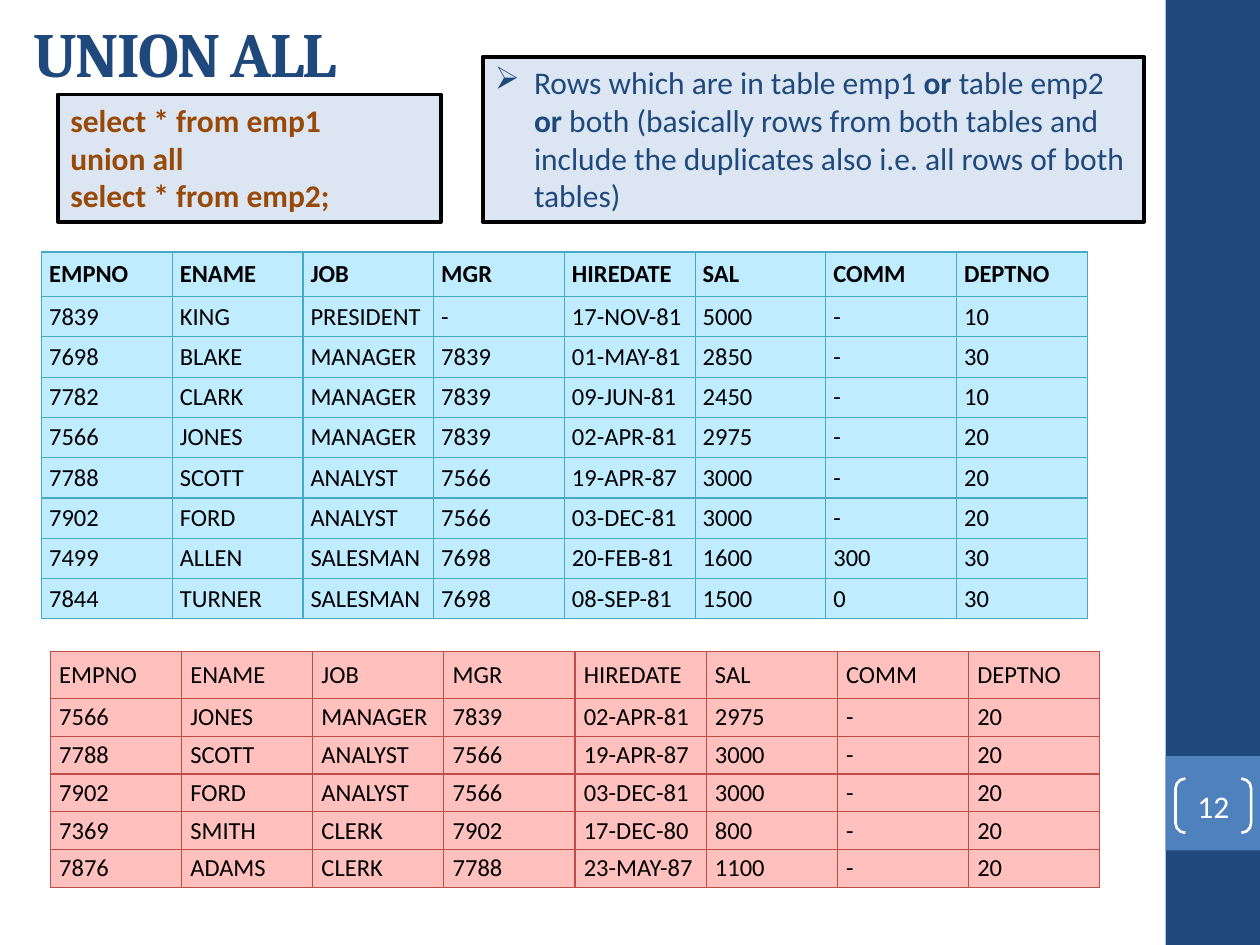
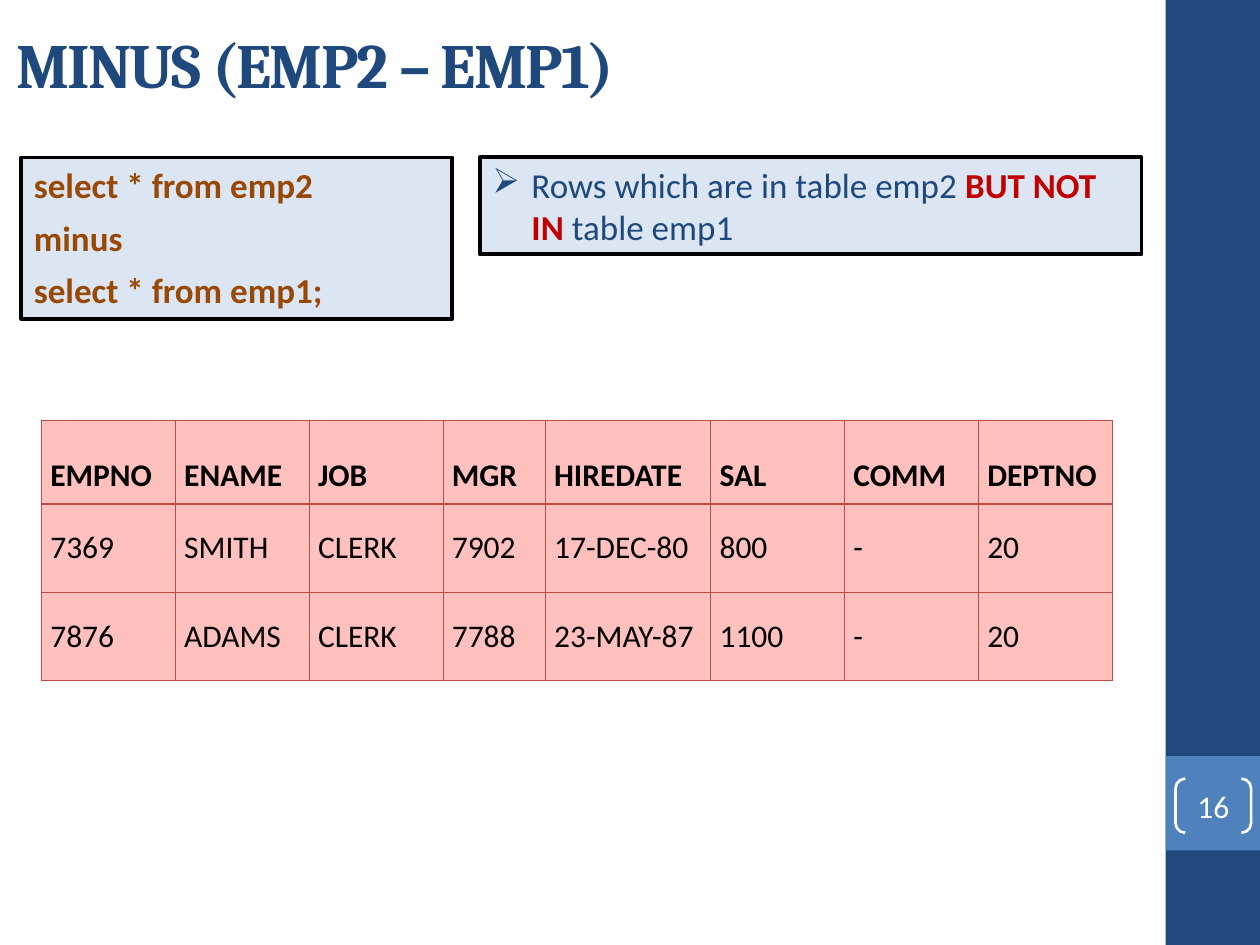
from pptx import Presentation
from pptx.dml.color import RGBColor
from pptx.enum.shapes import MSO_SHAPE
from pptx.enum.text import MSO_ANCHOR, MSO_AUTO_SIZE, PP_ALIGN
from pptx.oxml.ns import qn
from pptx.util import Inches, Pt
from lxml.etree import SubElement

NAVY = RGBColor(0x1F, 0x49, 0x7D)
BLUE = RGBColor(0x4F, 0x81, 0xBD)
WHITE = RGBColor(0xFF, 0xFF, 0xFF)
BLACK = RGBColor(0x00, 0x00, 0x00)
PANEL = RGBColor(0xDC, 0xE6, 0xF2)
BROWN = RGBColor(0x98, 0x48, 0x07)
RED = RGBColor(0xC0, 0x00, 0x00)
ICE = RGBColor(0xBF, 0xEC, 0xFF)
TEAL = RGBColor(0x46, 0xAA, 0xC5)
PINK = RGBColor(0xFF, 0xC0, 0xBE)
BRICK = RGBColor(0xBF, 0x4C, 0x48)

BODY_FONT = "Calibri"
TITLE_FONT = "Cambria"
WIDTH, HEIGHT = 10, 7.5
BAND = 0.75
BAND_LEFT = WIDTH - BAND
BADGE_TOP = HEIGHT - 2 * BAND
NOTE_WIDTH = 5.25
BULLET_INDENT = 0.31

FIELDS = ("EMPNO", "ENAME", "JOB", "MGR", "HIREDATE", "SAL", "COMM", "DEPTNO")
EMPLOYEES = [
    ("7839", "KING", "PRESIDENT", "-", "17-NOV-81", "5000", "-", "10"),
    ("7698", "BLAKE", "MANAGER", "7839", "01-MAY-81", "2850", "-", "30"),
    ("7782", "CLARK", "MANAGER", "7839", "09-JUN-81", "2450", "-", "10"),
    ("7566", "JONES", "MANAGER", "7839", "02-APR-81", "2975", "-", "20"),
    ("7788", "SCOTT", "ANALYST", "7566", "19-APR-87", "3000", "-", "20"),
    ("7902", "FORD", "ANALYST", "7566", "03-DEC-81", "3000", "-", "20"),
    ("7499", "ALLEN", "SALESMAN", "7698", "20-FEB-81", "1600", "300", "30"),
    ("7844", "TURNER", "SALESMAN", "7698", "08-SEP-81", "1500", "0", "30"),
    ("7369", "SMITH", "CLERK", "7902", "17-DEC-80", "800", "-", "20"),
    ("7876", "ADAMS", "CLERK", "7788", "23-MAY-87", "1100", "-", "20"),
]
EMP1 = EMPLOYEES[:8]
EMP2 = EMPLOYEES[3:6] + EMPLOYEES[8:]
EQUAL_COLUMNS = [1] * len(FIELDS)

SLIDES = [
    {
        "title": "UNION ALL", "title_at": (0.17, 0.08), "number": "12", "size": 18,
        "query": ["select * from emp1", "union all", "select * from emp2;"],
        "query_at": (0.46, 0.75, 3.04, 1.01), "query_gap": 0,
        "note": [("Rows which are in table emp1 ", NAVY, False), ("or", NAVY, True),
                 (" table emp2 ", NAVY, False), ("or", NAVY, True),
                 (" both (basically rows from both tables and include the duplicates"
                  " also i.e. all rows of both tables)", NAVY, False)],
        "note_at": (3.83, 0.45, NOTE_WIDTH, 1.31),
        "tables": [
            {"rows": EMP2, "at": (0.4, 5.17), "width": 8.33, "columns": EQUAL_COLUMNS,
             "heights": (0.37, 0.3), "inset": 0.07, "size": 14, "bold": False,
             "fill": PINK, "border": BRICK},
            {"rows": EMP1, "at": (0.33, 2), "width": 8.3, "columns": EQUAL_COLUMNS,
             "heights": (0.35, 0.32), "inset": 0.06, "size": 14, "bold": True,
             "fill": ICE, "border": TEAL},
        ],
    },
    {
        "title": "MINUS (EMP2 – EMP1)", "title_at": (0.03, 0.17), "number": "16", "size": 20,
        "query": ["select * from emp2", "minus", "select * from emp1;"],
        "query_at": (0.17, 1.25, 3.42, 1.28), "query_gap": 6,
        "note": [("Rows which are in table emp2 ", NAVY, False), ("BUT NOT IN", RED, True),
                 (" table emp1", NAVY, False)],
        "note_at": (3.81, 1.25, NOTE_WIDTH, 0.77),
        "tables": [
            {"rows": [row for row in EMP2 if row not in EMP1], "at": (0.33, 3.34),
             "width": 8.5, "columns": [1.06, 1.06, 1.06, 0.81, 1.31, 1.06, 1.06, 1.06],
             "heights": (0.66, 0.7), "inset": 0.07, "size": 18, "bold": True,
             "fill": PINK, "border": BRICK},
        ],
    },
]


def style(font, size, color, bold=False, name=BODY_FONT):
    font.name = name
    font.size = Pt(size)
    font.bold = bold
    font.color.rgb = color


def add_box(slide, kind, at, fill=None, line=None, line_width=1.5):
    shape = slide.shapes.add_shape(kind, *map(Inches, at))
    shape.shadow.inherit = False
    if fill is None:
        shape.fill.background()
    else:
        shape.fill.solid()
        shape.fill.fore_color.rgb = fill
    if line is None:
        shape.line.fill.background()
    else:
        shape.line.color.rgb = line
        shape.line.width = Pt(line_width)
    return shape


def add_side_band(slide, number):
    add_box(slide, MSO_SHAPE.RECTANGLE, (BAND_LEFT, 0, BAND, HEIGHT), NAVY)
    add_box(slide, MSO_SHAPE.RECTANGLE, (BAND_LEFT, BADGE_TOP, BAND, BAND), BLUE)
    badge = add_box(slide, MSO_SHAPE.DOUBLE_BRACKET,
                    (BAND_LEFT + 0.08, BADGE_TOP + 0.18, 0.6, 0.43), line=WHITE)
    badge.adjustments[0] = 0.18
    frame = badge.text_frame
    frame.margin_left = frame.margin_right = frame.margin_top = frame.margin_bottom = 0
    frame.vertical_anchor = MSO_ANCHOR.MIDDLE
    frame.text = number
    frame.paragraphs[0].alignment = PP_ALIGN.CENTER
    style(frame.paragraphs[0].runs[0].font, 18, WHITE)


def add_title(slide, text, at):
    title = slide.shapes.add_textbox(*map(Inches, (*at, WIDTH / 1.2, 0.67)))
    frame = title.text_frame
    frame.word_wrap = True
    frame.vertical_anchor = MSO_ANCHOR.MIDDLE
    frame.text = text
    run = frame.paragraphs[0].runs[0]
    style(run.font, 36, NAVY, True, TITLE_FONT)
    run.font._element.set("spc", "-100")


def add_panel(slide, at):
    frame = add_box(slide, MSO_SHAPE.RECTANGLE, at, PANEL, BLACK, 2.25).text_frame
    frame.word_wrap = True
    frame.vertical_anchor = MSO_ANCHOR.TOP
    frame.auto_size = MSO_AUTO_SIZE.SHAPE_TO_FIT_TEXT
    return frame


def add_query(slide, lines, at, size, gap):
    frame = add_panel(slide, at)
    frame.text = "\n".join(lines)
    for index, paragraph in enumerate(frame.paragraphs):
        paragraph.alignment = PP_ALIGN.LEFT
        if index and gap:
            paragraph.space_before = Pt(gap)
        style(paragraph.runs[0].font, size, BROWN, True)


def add_note(slide, parts, at, size):
    paragraph = add_panel(slide, at).paragraphs[0]
    paragraph.alignment = PP_ALIGN.LEFT
    properties = paragraph._p.get_or_add_pPr()
    properties.set("marL", str(Inches(BULLET_INDENT)))
    properties.set("indent", str(-Inches(BULLET_INDENT)))
    SubElement(properties, qn("a:buChar")).set("char", "➢")
    for text, color, bold in parts:
        run = paragraph.add_run()
        run.text = text
        style(run.font, size, color, bold)


def add_borders(cell, color):
    properties = cell._tc.get_or_add_tcPr()
    for side in ("lnL", "lnR", "lnT", "lnB"):
        line = SubElement(properties, qn(f"a:{side}"))
        line.set("w", str(Pt(0.75)))
        fill = SubElement(line, qn("a:solidFill"))
        SubElement(fill, qn("a:srgbClr")).set("val", str(color))


def fill_cell(cell, text, spec_table, is_header):
    inset = spec_table["inset"]
    cell.margin_left = cell.margin_right = Inches(inset)
    cell.margin_top = cell.margin_bottom = Inches(inset if is_header else 0.03)
    cell.vertical_anchor = MSO_ANCHOR.BOTTOM if is_header else MSO_ANCHOR.MIDDLE
    add_borders(cell, spec_table["border"])
    cell.fill.solid()
    cell.fill.fore_color.rgb = spec_table["fill"]
    cell.text_frame.text = text
    style(cell.text_frame.paragraphs[0].runs[0].font, spec_table["size"], BLACK,
          is_header and spec_table["bold"])


def add_employee_table(slide, content):
    rows = [FIELDS] + content["rows"]
    header_height, row_height = content["heights"]
    height = header_height + row_height * len(content["rows"])
    table = slide.shapes.add_table(
        len(rows), len(FIELDS),
        *map(Inches, (*content["at"], content["width"], height))).table
    table.horz_banding = False
    unit = content["width"] / sum(content["columns"])
    for column, share in zip(table.columns, content["columns"]):
        column.width = Inches(unit * share)
    for row_index, row in enumerate(rows):
        table.rows[row_index].height = Inches(row_height if row_index else header_height)
        for column_index, text in enumerate(row):
            fill_cell(table.cell(row_index, column_index), text, content, row_index == 0)


def main():
    presentation = Presentation()
    presentation.slide_width = Inches(WIDTH)
    presentation.slide_height = Inches(HEIGHT)
    for content in SLIDES:
        slide = presentation.slides.add_slide(presentation.slide_layouts[6])
        add_side_band(slide, content["number"])
        add_title(slide, content["title"], content["title_at"])
        add_query(slide, content["query"], content["query_at"], content["size"],
                  content["query_gap"])
        for table in content["tables"]:
            add_employee_table(slide, table)
        add_note(slide, content["note"], content["note_at"], content["size"])
    presentation.save("out.pptx")


if __name__ == "__main__":
    main()
